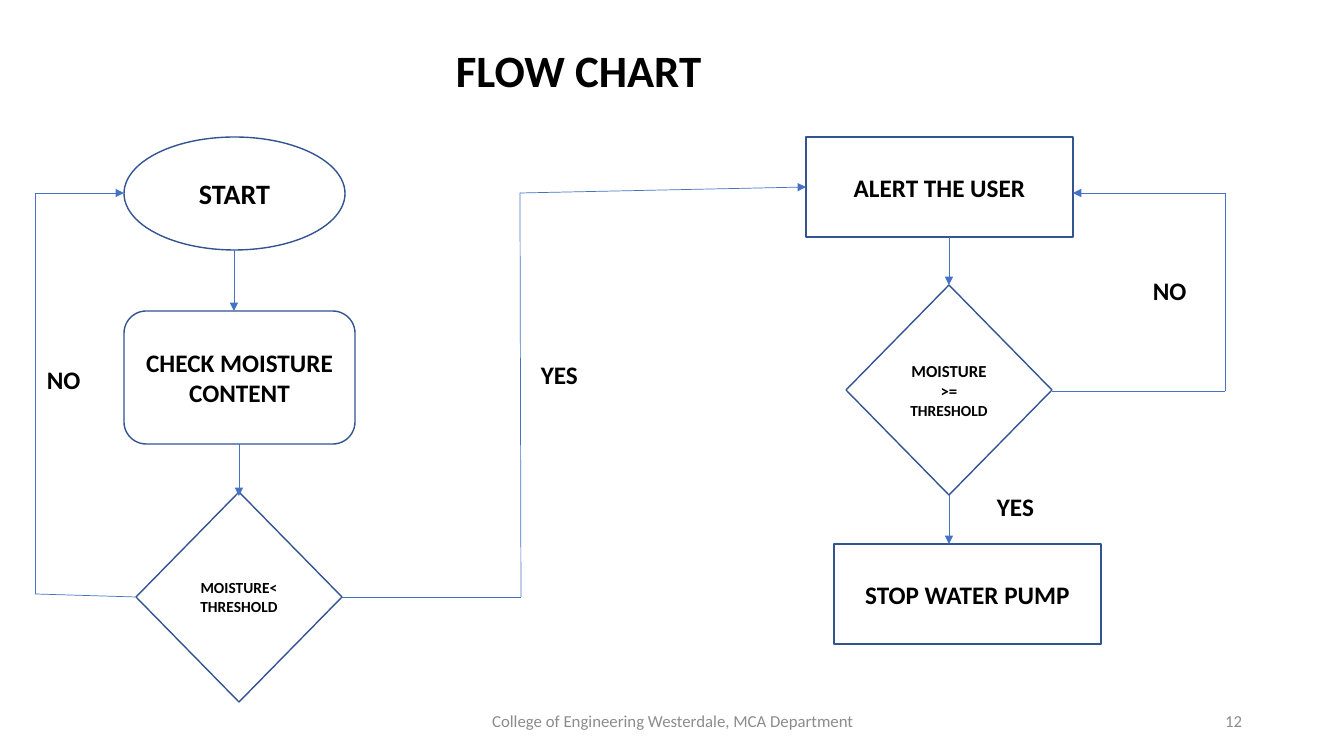
from dataclasses import dataclass
from itertools import pairwise

from lxml import etree
from pptx import Presentation
from pptx.dml.color import RGBColor
from pptx.enum.shapes import MSO_CONNECTOR, MSO_SHAPE
from pptx.enum.text import MSO_ANCHOR, PP_ALIGN
from pptx.oxml.ns import qn
from pptx.util import Emu, Pt

STRAIGHT = MSO_CONNECTOR.STRAIGHT
OVAL, ROUNDED = MSO_SHAPE.OVAL, MSO_SHAPE.ROUNDED_RECTANGLE
DIAMOND, RECT = MSO_SHAPE.DIAMOND, MSO_SHAPE.RECTANGLE
LEFT, CENTER, RIGHT = PP_ALIGN.LEFT, PP_ALIGN.CENTER, PP_ALIGN.RIGHT
TOP, MIDDLE = MSO_ANCHOR.TOP, MSO_ANCHOR.MIDDLE
EMU_PER_PX = 914400 / 100.8


def px(n):
    return Emu(round(n * EMU_PER_PX))


@dataclass(frozen=True)
class Theme:
    font: str = "Calibri"
    paper: str = "FFFFFF"
    ink: str = "000000"
    muted: str = "8C8C8C"
    outline: str = "325491"
    arrow: str = "4472C4"
    title: int = 32
    start: int = 20
    body: int = 18
    small: int = 12
    tiny: int = 11
    outline_width: float = 1
    arrow_width: float = 0.5


class FlowSlide:
    def __init__(self, prs, theme):
        self.theme = theme
        self.slide = prs.slides.add_slide(prs.slide_layouts[6])

    def set_text(self, tf, lines, align, color, bold):
        for i, (text, size) in enumerate(lines):
            p = tf.add_paragraph() if i else tf.paragraphs[0]
            p.text = text
            p.alignment = align
            p.font.name = self.theme.font
            p.font.size = Pt(size)
            p.font.bold = bold
            p.font.color.rgb = RGBColor.from_string(color)

    def node(self, kind, box, *lines):
        sp = self.slide.shapes.add_shape(kind, *map(px, box))
        sp.shadow.inherit = False
        sp.fill.solid()
        sp.fill.fore_color.rgb = RGBColor.from_string(self.theme.paper)
        sp.line.color.rgb = RGBColor.from_string(self.theme.outline)
        sp.line.width = Pt(self.theme.outline_width)
        sp.text_frame.vertical_anchor = MIDDLE
        self.set_text(sp.text_frame, lines, CENTER, self.theme.ink, True)

    def route(self, *points):
        for start, end in pairwise(points):
            cxn = self.slide.shapes.add_connector(STRAIGHT, *map(px, start + end))
            cxn.line.color.rgb = RGBColor.from_string(self.theme.arrow)
            cxn.line.width = Pt(self.theme.arrow_width)
            etree.SubElement(cxn._element.spPr, qn("a:effectLst"))
        ln = cxn._element.spPr.find(qn("a:ln"))
        etree.SubElement(ln, qn("a:tailEnd"), type="triangle")

    def label(self, box, text, size):
        tf = self.slide.shapes.add_textbox(*map(px, box)).text_frame
        tf.word_wrap = False
        tf.vertical_anchor = TOP
        self.set_text(tf, [(text, size)], LEFT, self.theme.ink, True)

    def footer(self, box, text, align):
        tf = self.slide.shapes.add_textbox(*map(px, box)).text_frame
        tf.word_wrap = True
        tf.vertical_anchor = MIDDLE
        self.set_text(tf, [(text, self.theme.small)], align, self.theme.muted, False)


prs = Presentation()
prs.slide_width, prs.slide_height = px(1344), px(756)
theme = Theme()
s = FlowSlide(prs, theme)

s.footer((446, 701, 454, 40), "College of Engineering Westerdale, MCA Department", CENTER)
s.footer((950, 701, 302, 40), "12", RIGHT)

s.node(OVAL, (124, 137, 221, 113), ("START", theme.start))
s.node(ROUNDED, (124, 311, 231, 133), ("CHECK MOISTURE CONTENT", theme.body))
s.node(DIAMOND, (136, 492, 206, 210), ("MOISTURE<THRESHOLD", theme.tiny))
s.node(RECT, (806, 137, 267, 100), ("ALERT THE USER", theme.body))
s.node(DIAMOND, (846, 285, 206, 210),
       ("MOISTURE", theme.small), (">=", theme.small), ("THRESHOLD", theme.tiny))
s.node(RECT, (834, 544, 267, 100), ("STOP WATER PUMP", theme.body))

for x, top, bottom in [(234, 250, 311), (239, 444, 496), (949, 237, 285), (949, 495, 544)]:
    s.route((x, top), (x, bottom))
s.route((136, 597), (35, 594), (35, 193), (124, 193))
s.route((342, 597), (521, 597), (520, 193), (806, 187))
s.route((1052, 391), (1225, 391), (1225, 193), (1073, 193))

for x, y, text in [(37, 359, "NO"), (531, 354, "YES"), (1143, 270, "NO"), (987, 486, "YES")]:
    s.label((x, y, 60, 40), text, theme.body)
s.label((446, 38, 268, 64), "FLOW CHART", theme.title)

prs.save("out.pptx")
